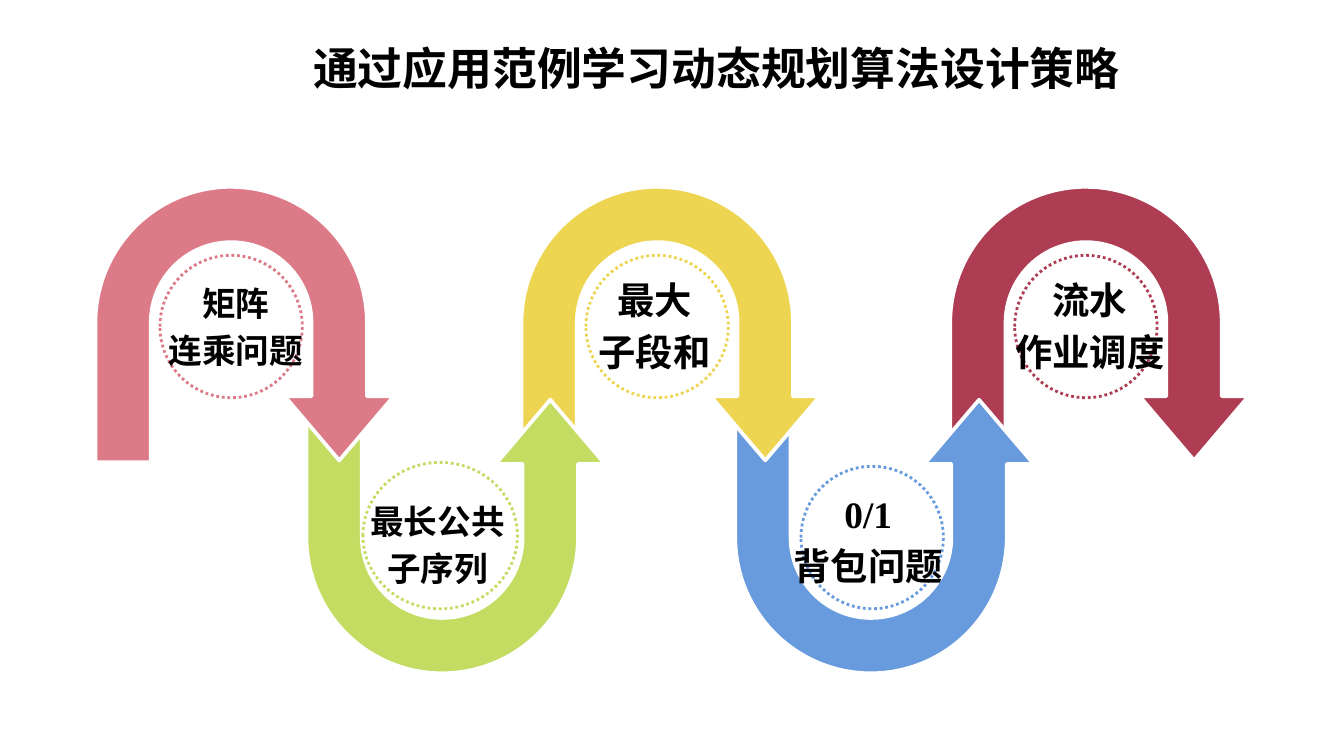
from lxml.etree import SubElement
from pptx import Presentation
from pptx.dml.color import RGBColor
from pptx.enum.dml import MSO_LINE
from pptx.enum.shapes import MSO_SHAPE
from pptx.enum.text import MSO_ANCHOR, PP_ALIGN
from pptx.oxml.ns import qn
from pptx.util import Inches, Pt

CJK_FONT = "Noto Sans CJK SC"
LATIN_FONT = "Times New Roman"
ARROW_SIZE = (2.22, 2.05)
ARROW_ADJUSTMENTS = (0.201, 0.198, 0.233, 0.493, 0.993)
TOP_ROW, BOTTOM_ROW = 1.39, 2.96

# Colour, arrow left, ring frame, label frame, text size, label lines
STEPS = [
    ("DC7B87", 0.71, (1.19, 1.9, 1.06, 1.06), (1.25, 2.1, 1.01, 0.66), 18, "矩阵\n连乘问题"),
    ("C4DC61", 2.28, (2.7, 3.44, 1.15, 1.09), (2.75, 3.72, 1.01, 0.66), 18, "最长公共\n子序列"),
    ("EED551", 3.88, (4.36, 1.9, 1.06, 1.06), (4.45, 2.06, 0.84, 0.73), 20, "最大\n子段和"),
    ("679BDE", 5.47, (5.96, 3.47, 1.06, 1.06), (5.9, 3.65, 1.12, 0.73), 20, "0/1\n背包问题"),
    ("AE3C53", 7.07, (7.55, 1.9, 1.06, 1.06), (7.55, 2.06, 1.12, 0.73), 20, "流水\n作业调度"),
]


def color(value):
    return RGBColor.from_string(value)


class SlideBuilder:
    """Holds the text style and the current page."""

    text_color = "000000"

    def __init__(self, page):
        self.page = page

    def style_text(self, frame, size, align):
        frame.word_wrap = False
        frame.vertical_anchor = MSO_ANCHOR.MIDDLE
        for index, para in enumerate(frame.paragraphs):
            para.alignment = align
            para.space_before = Pt(size * 0.2 if index else 0)
            for span in para.runs:
                font = span.font
                font.size, font.bold = Pt(size), True
                font.color.rgb = color(self.text_color)
                font.name = LATIN_FONT if span.text.isascii() else CJK_FONT
                SubElement(font._element, qn("a:ea")).set("typeface", CJK_FONT)

    def title(self, text, frame):
        box = self.page.shapes.title
        box.left, box.top, box.width, box.height = map(Inches, frame)
        box.text_frame.text = text
        self.style_text(box.text_frame, 24, PP_ALIGN.LEFT)
        box.text_frame.paragraphs[0].line_spacing = 1.2

    def shape(self, kind, frame, line_color, line_width):
        shape = self.page.shapes.add_shape(kind, *map(Inches, frame))
        shape.shadow.inherit = False
        shape.line.color.rgb = color(line_color)
        shape.line.width = Pt(line_width)
        return shape

    def arrow(self, left, fill, upward):
        top = BOTTOM_ROW if upward else TOP_ROW
        arrow = self.shape(MSO_SHAPE.U_TURN_ARROW, (left, top, *ARROW_SIZE), "FFFFFF", 2)
        arrow.fill.solid()
        arrow.fill.fore_color.rgb = color(fill)
        for index, value in enumerate(ARROW_ADJUSTMENTS):
            arrow.adjustments[index] = value
        if upward:
            arrow.rotation = 180
            arrow._element.spPr.find(qn("a:xfrm")).set("flipH", "1")

    def ring(self, frame, line_color):
        ring = self.shape(MSO_SHAPE.OVAL, frame, line_color, 1.5)
        ring.fill.background()
        ring.line.dash_style = MSO_LINE.ROUND_DOT

    def label(self, text, frame, size):
        text_frame = self.page.shapes.add_textbox(*map(Inches, frame)).text_frame
        text_frame.margin_left = text_frame.margin_right = 0
        text_frame.margin_top = text_frame.margin_bottom = 0
        text_frame.text = text
        self.style_text(text_frame, size, PP_ALIGN.CENTER)


def main():
    # Widescreen page, 16:9
    deck = Presentation()
    deck.slide_width = Inches(10)
    deck.slide_height = deck.slide_width * 9 // 16
    builder = SlideBuilder(deck.slides.add_slide(deck.slide_layouts[5]))

    builder.title("通过应用范例学习动态规划算法设计策略", (2.23, 0.17, 6.22, 0.58))

    # Arrows from right to left, so each head overlaps the next tail
    for index, (fill, left, *_) in reversed(list(enumerate(STEPS))):
        builder.arrow(left, fill, upward=index % 2 == 1)

    # Dotted rings, then the labels on top
    for line_color, _, ring_frame, *_ in STEPS:
        builder.ring(ring_frame, line_color)
    for *_, label_frame, size, text in STEPS:
        builder.label(text, label_frame, size)

    deck.save("out.pptx")


if __name__ == "__main__":
    main()
